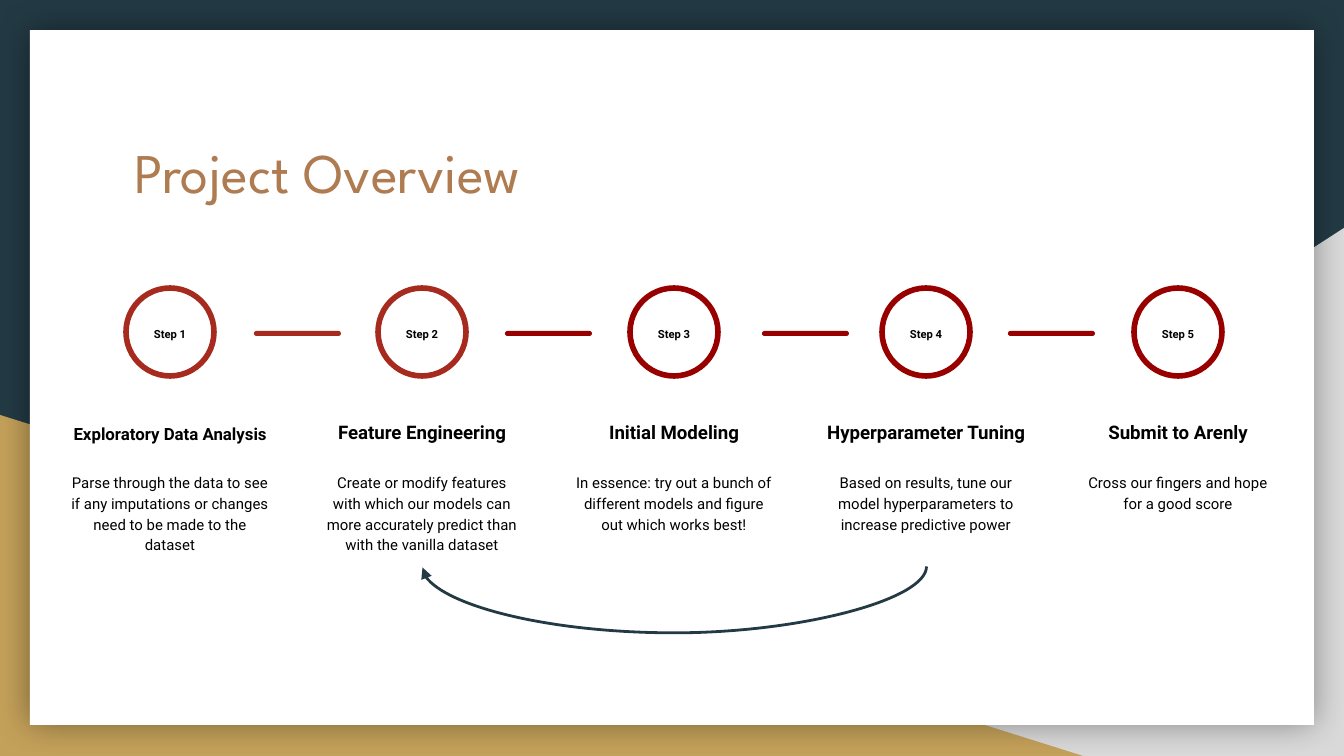
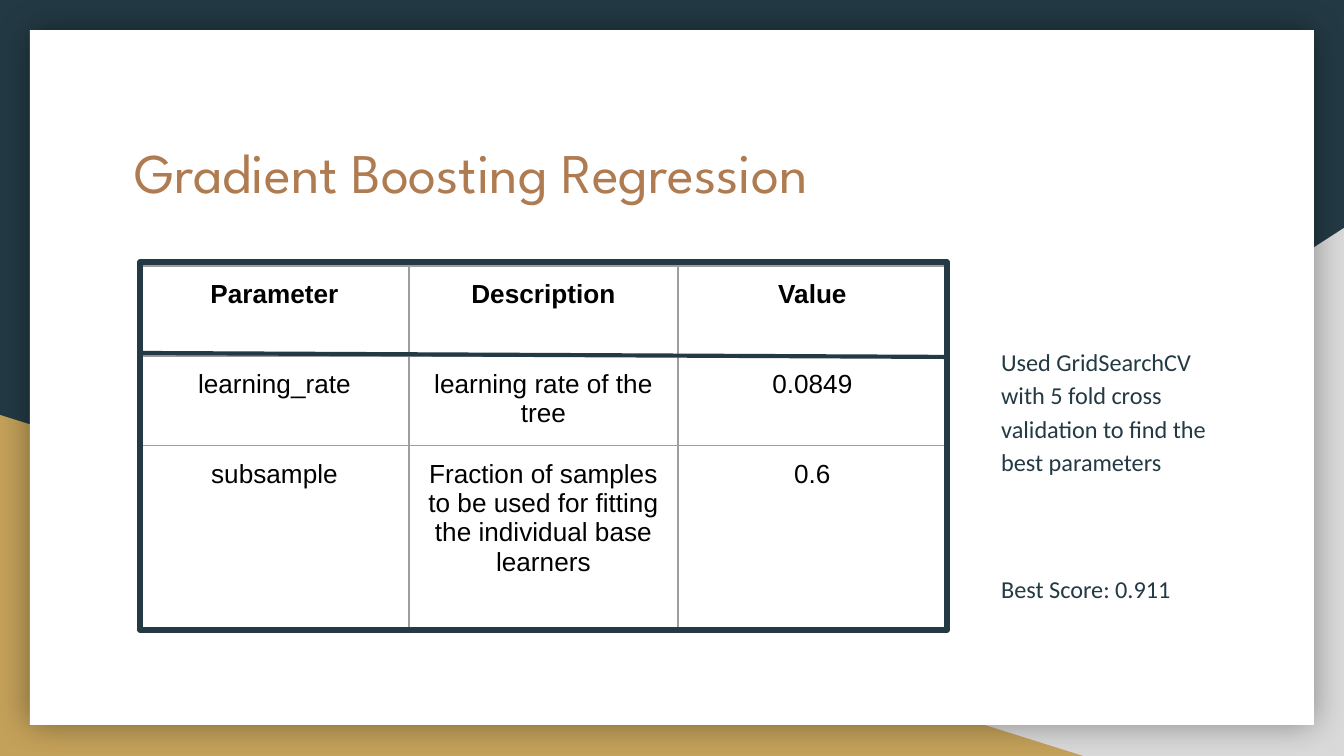
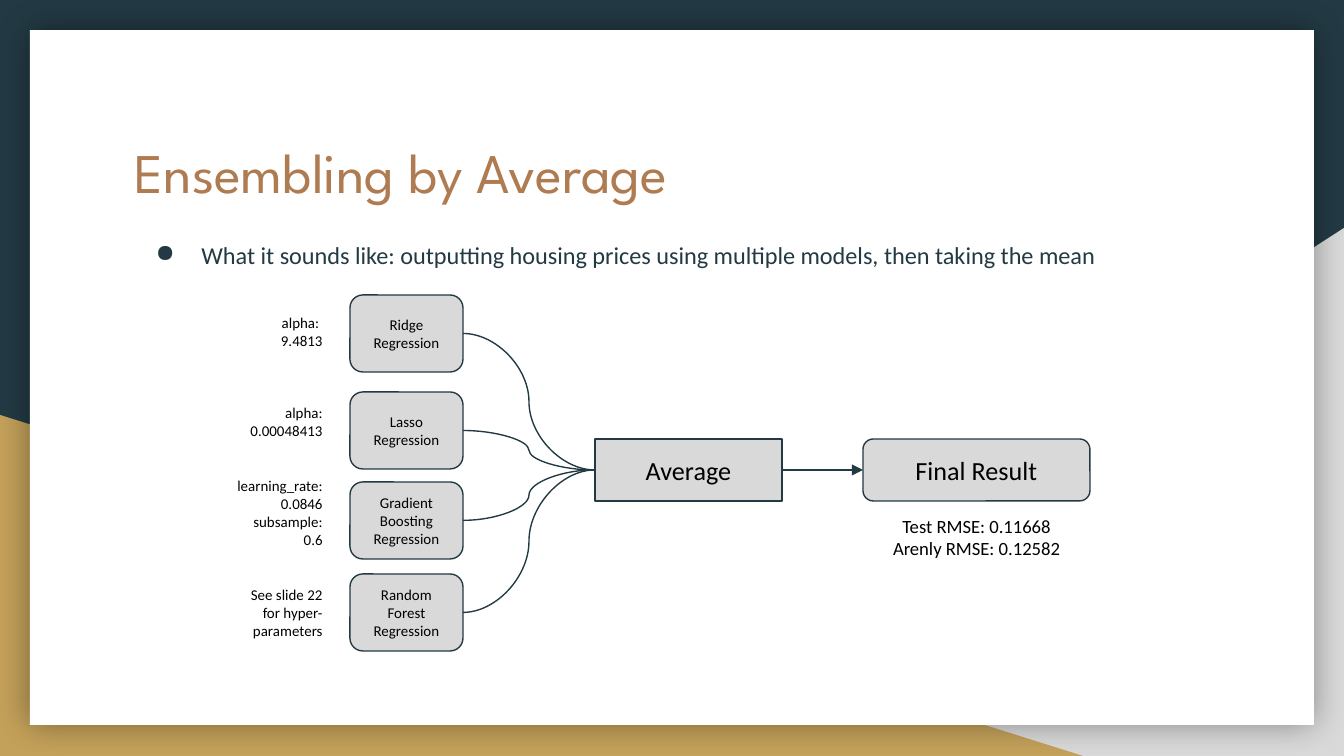
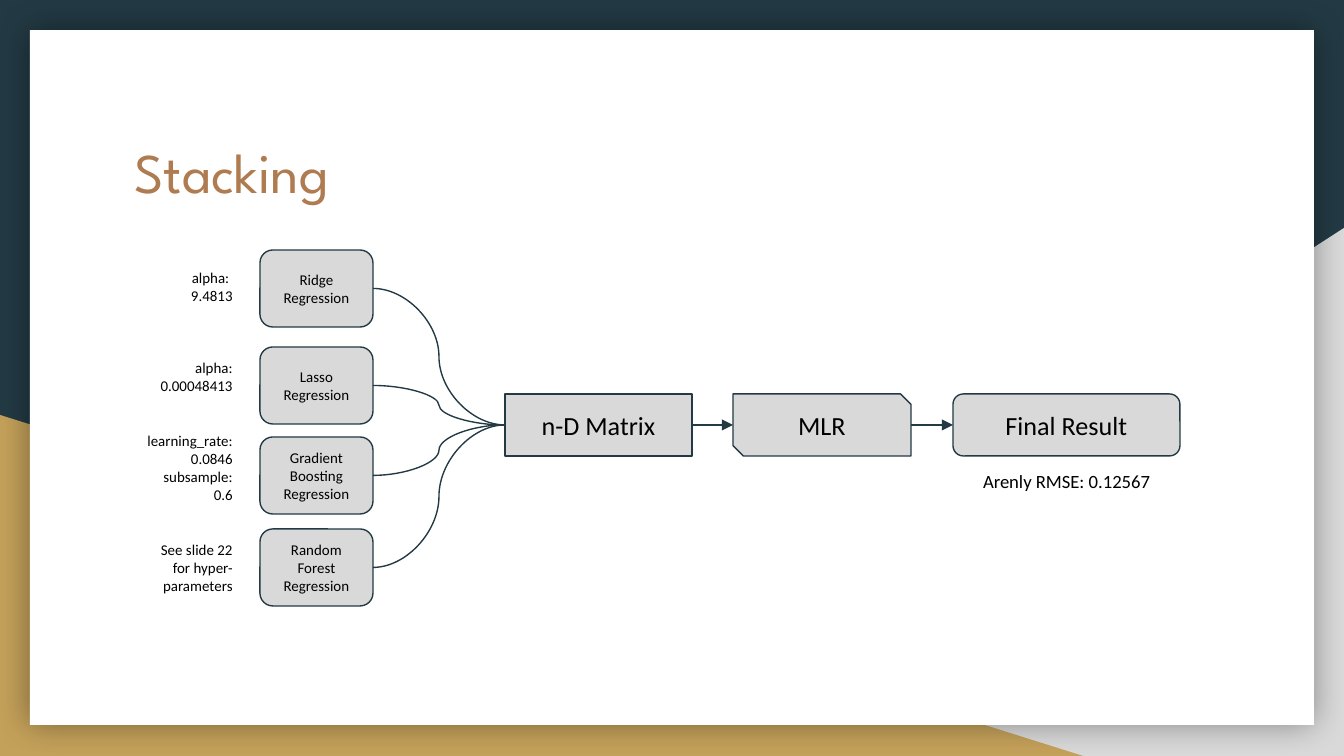
from lxml.etree import SubElement
from pptx import Presentation
from pptx.dml.color import RGBColor
from pptx.enum.shapes import MSO_CONNECTOR as LINK, MSO_SHAPE as SHAPE
from pptx.enum.text import MSO_ANCHOR as ANCHOR, MSO_AUTO_SIZE, PP_ALIGN as ALIGN
from pptx.oxml.ns import qn
from pptx.util import Emu, Inches, Pt

PX = 914400 / 134.4
INSET = Inches(0.1)
COLORS = {
    "navy": "233A44", "gold": "C4A15A", "gray": "D9D9D9", "white": "FFFFFF",
    "copper": "AF7B51", "brick": "A72A1E", "crimson": "980000",
    "black": "000000", "grid": "9E9E9E",
}

STEPS = [
    ("Exploratory Data Analysis", 9, "brick",
     "Parse through the data to see if any imputations or changes need to be made to the dataset"),
    ("Feature Engineering", 10, "brick",
     "Create or modify features with which our models can more accurately predict "
     "than with the vanilla dataset"),
    ("Initial Modeling", 10, "crimson",
     "In essence: try out a bunch of different models and figure out which works best!"),
    ("Hyperparameter Tuning", 10, "crimson",
     "Based on results, tune our model hyperparameters to increase predictive power"),
    ("Submit to Arenly", 10, "crimson", "Cross our fingers and hope for a good score"),
]
STEP_BARS = [(254, "brick"), (505, "crimson"), (762, "crimson"), (1008, "crimson")]

PARAMETERS = [
    ("Parameter", "Description", "Value"),
    ("learning_rate", "learning rate of the tree", "0.0849"),
    ("subsample", "Fraction of samples to be used for fitting the individual base learners", "0.6"),
]

MODELS = [("Ridge Regression", 0), ("Lasso Regression", 97),
          ("Gradient Boosting Regression", 187), ("Random Forest Regression", 279)]
MODEL_NOTES = ["alpha: ", "9.4813", "alpha: 0.00048413", "learning_rate:", "0.0846",
               "subsample:", "0.6", "See slide 22 for hyper-", "parameters"]
NOTE_GAPS = {2: 29, 3: 20, 7: 20}


def px(length):
    return Emu(round(length * PX))


def emu_box(box):
    return [px(length) for length in box]


def rgb(color):
    return RGBColor.from_string(COLORS[color])


def style_font(font, name, size, color="black", bold=False):
    font.name, font.size, font.bold = name, Pt(size), bold
    font.color.rgb = rgb(color)


def set_insets(frame):
    frame.margin_left = frame.margin_right = INSET
    frame.margin_top = frame.margin_bottom = INSET


def write(frame, lines, font, size, color="black", bold=False, align=ALIGN.CENTER,
          anchor=ANCHOR.TOP, spacing=None, gaps=None):
    """Fill a text frame; gaps maps a paragraph's index to the points before it."""
    frame.word_wrap = True
    frame.auto_size = MSO_AUTO_SIZE.NONE
    frame.vertical_anchor = anchor
    set_insets(frame)
    frame.text = "\n".join(lines)
    for index, paragraph in enumerate(frame.paragraphs):
        paragraph.alignment = align
        style_font(paragraph.font, font, size, color, bold)
        if spacing:
            paragraph.line_spacing = spacing
        if gaps and index in gaps:
            paragraph.space_before = Pt(gaps[index])


def add_text(shapes, box, lines, font, size, **style):
    frame = shapes.add_textbox(*emu_box(box)).text_frame
    write(frame, lines, font, size, **style)
    return frame


def add_figure(shapes, kind, box, fill=None, line=None, weight=0.75):
    figure = shapes.add_shape(kind, *emu_box(box))
    figure.shadow.inherit = False
    if fill:
        figure.fill.solid()
        figure.fill.fore_color.rgb = rgb(fill)
    else:
        figure.fill.background()
    if line:
        figure.line.color.rgb = rgb(line)
        figure.line.width = Pt(weight)
    else:
        figure.line.fill.background()
    return figure


def add_node(slide, kind, box, label, size=14):
    node = add_figure(slide.shapes, kind, box, "gray", "navy")
    write(node.text_frame, [label], "Calibri", size, anchor=ANCHOR.MIDDLE)
    return node


def add_line(slide, kind, ends, weight=0.75, arrow=False):
    """Draw a connector between two points given in EMU."""
    line = slide.shapes.add_connector(kind, *ends)
    line.line.color.rgb = rgb("navy")
    line.line.width = Pt(weight)
    properties = line.element.spPr
    if arrow:
        SubElement(properties.find(qn("a:ln")), qn("a:tailEnd"), type="triangle")
    SubElement(properties, qn("a:effectLst"))
    return line


def link(slide, source, target, kind=LINK.STRAIGHT, arrow=True):
    """Join the right side of source to the left side of target."""
    ends = (source.left + source.width, source.top + source.height // 2,
            target.left, target.top + target.height // 2)
    line = add_line(slide, kind, ends, arrow=arrow)
    # The snipped shape numbers its connection sites differently.
    if source.auto_shape_type != SHAPE.SNIP_2_DIAG_RECTANGLE:
        line.begin_connect(source, 3)
    if target.auto_shape_type != SHAPE.SNIP_2_DIAG_RECTANGLE:
        line.end_connect(target, 1)


def add_return_arrow(slide, start_x, end_x, y, depth):
    """Curve from start_x down and back up to end_x: an S-connector turned by 90°."""
    middle, half = (start_x + end_x) // 2, (start_x - end_x) // 2
    ends = emu_box((middle, y - half, middle + 1, y + half))
    line = add_line(slide, LINK.CURVE, ends, 1.5, arrow=True)
    properties = line.element.spPr
    properties.find(qn("a:xfrm")).set("rot", "5400000")
    adjustments = properties.find(qn("a:prstGeom")).find(qn("a:avLst"))
    SubElement(adjustments, qn("a:gd"), name="adj1", fmla=f"val {depth * 100000}")


def add_bullet(paragraph):
    properties = paragraph.font and paragraph._p.get_or_add_pPr()
    properties.set("marL", str(Inches(0.5)))
    properties.set("indent", str(-Inches(0.34)))
    bullet_color = SubElement(properties, qn("a:buClr"))
    SubElement(bullet_color, qn("a:srgbClr"), val=COLORS["navy"])
    bullet = SubElement(properties, qn("a:buChar"), char="●")
    defaults = properties.find(qn("a:defRPr"))
    for element in (bullet_color, bullet):
        defaults.addprevious(element)


def style_cell(cell, text, bold):
    write_to = cell.text_frame
    cell.text = text
    cell.margin_left = cell.margin_right = INSET
    cell.margin_top = cell.margin_bottom = INSET
    write_to.paragraphs[0].alignment = ALIGN.CENTER
    style_font(write_to.paragraphs[0].font, "Arial", 14, bold=bold)
    properties = cell._tc.get_or_add_tcPr()
    for side in ("lnL", "lnR", "lnT", "lnB"):
        border = SubElement(properties, qn(f"a:{side}"), w=str(Pt(0.75)))
        fill = SubElement(border, qn("a:solidFill"))
        SubElement(fill, qn("a:srgbClr"), val=COLORS["grid"])
    cell.fill.background()


def add_table(slide, left, top, column_width, row_heights, rows):
    columns = len(rows[0])
    box = (left, top, column_width * columns, sum(row_heights))
    table = slide.shapes.add_table(len(rows), columns, *emu_box(box)).table
    table.first_row = table.horz_banding = False
    for column in table.columns:
        column.width = px(column_width)
    for r, (height, texts) in enumerate(zip(row_heights, rows)):
        table.rows[r].height = px(height)
        for c, text in enumerate(texts):
            style_cell(table.cell(r, c), text, bold=r == 0)


def build_backdrop(prs, layout):
    """Give the layout its coloured corners and white panel."""
    background = prs.slide_master.background.fill
    background.solid()
    background.fore_color.rgb = rgb("navy")
    for placeholder in list(layout.placeholders):
        if placeholder.placeholder_format.idx:
            layout.shapes.element.remove(placeholder.element)

    # Layouts cannot add shapes, so a slide's shapes are moved there.
    shapes = prs.slides[0].shapes
    right_corner = add_figure(shapes, SHAPE.RIGHT_TRIANGLE, (527, 228, 817, 528), "gray")
    right_corner.element.spPr.find(qn("a:xfrm")).set("flipH", "1")
    left_corner = add_figure(shapes, SHAPE.RIGHT_TRIANGLE, (0, 415, 1083, 341), "gold")
    panel = add_figure(shapes, SHAPE.RECTANGLE, (30, 30, 1284, 695), "white")
    shadow = SubElement(panel.element.spPr.find(qn("a:effectLst")), qn("a:outerShdw"),
                        blurRad=str(Pt(18)), dist="0", dir="0", algn="ctr", rotWithShape="0")
    shade = SubElement(shadow, qn("a:srgbClr"), val=COLORS["black"])
    SubElement(shade, qn("a:alpha"), val="40000")
    for part in (right_corner, left_corner, panel):
        layout.shapes.element.append(part.element)


def add_slide(prs, layout, heading):
    slide = prs.slides.add_slide(layout)
    title = slide.shapes.title
    title.left, title.top, title.width, title.height = emu_box((121, 124, 1103, 140))
    write(title.text_frame, [heading], "League Spartan", 30, "copper", align=ALIGN.LEFT)
    return slide


def add_step(slide, number, center, heading, heading_size, color, description):
    shapes = slide.shapes.add_group_shape().shapes
    add_figure(shapes, SHAPE.OVAL, (center - 44, 288, 88, 88), line=color, weight=3)
    add_text(shapes, (center - 32, 312, 64, 47), [f"Step {number}"], "Roboto", 6,
             bold=True, spacing=1.15)
    add_text(shapes, (center - 113, 391, 226, 66), [heading], "Roboto", heading_size,
             bold=True, anchor=ANCHOR.BOTTOM, spacing=1.15)
    add_text(shapes, (center - 113, 458, 226, 109), [description], "Roboto", 8, spacing=1.15)


def add_ensemble(slide, left, top, hub_label):
    """Draw the four models with their notes, all feeding one hub."""
    hub = add_node(slide, SHAPE.RECTANGLE, (left + 245, top + 144, 187, 62), hub_label)
    for model, offset in MODELS:
        node = add_node(slide, SHAPE.ROUNDED_RECTANGLE, (left, top + offset, 113, 77), model, 8)
        link(slide, node, hub, LINK.CURVE, arrow=False)
    add_text(slide.shapes, (left - 127, top + 5, 113, 342), MODEL_NOTES, "Calibri", 8,
             align=ALIGN.RIGHT, gaps=NOTE_GAPS)
    return hub


def add_result(slide, left, top, scores):
    result = add_node(slide, SHAPE.ROUNDED_RECTANGLE, (left, top, 227, 62), "Final Result")
    add_text(slide.shapes, (left, top + 62, 227, 110), scores, "Calibri", 10)
    return result


def fill_overview(slide):
    centers = [170 + 252 * index for index in range(len(STEPS))]
    for number, (center, step) in enumerate(zip(centers, STEPS), 1):
        add_step(slide, number, center, *step)
    for left, color in STEP_BARS:
        bar = add_figure(slide.shapes, SHAPE.ROUNDED_RECTANGLE, (left, 331, 87, 5), color)
        bar.adjustments[0] = 0.5
    add_return_arrow(slide, centers[3], centers[1], 567, 66)


def fill_boosting(slide):
    add_text(slide.shapes, (988, 329, 237, 324),
             ["Used GridSearchCV with 5 fold cross validation to find the best parameters",
              "Best Score: 0.911"],
             "Calibri", 13, color="navy", align=ALIGN.LEFT, spacing=1.15, gaps={1: 50})
    add_table(slide, 140, 266, 269, (90, 90, 187), PARAMETERS)
    add_figure(slide.shapes, SHAPE.RECTANGLE, (140, 262, 807, 368), line="navy", weight=3)
    add_line(slide, LINK.STRAIGHT, emu_box((138, 353, 949, 357)), 2.25)


def fill_averaging(slide):
    summary = add_text(
        slide.shapes, (121, 222, 1103, 60),
        ["What it sounds like: outputting housing prices using multiple models, "
         "then taking the mean"],
        "Calibri", 13, color="navy", align=ALIGN.LEFT, spacing=1.15)
    add_bullet(summary.paragraphs[0])
    average = add_ensemble(slide, 350, 295, "Average")
    result = add_result(slide, 863, 439, ["Test RMSE: 0.11668", "Arenly RMSE: 0.12582"])
    link(slide, average, result)


def fill_stacking(slide):
    matrix = add_ensemble(slide, 260, 250, "n-D Matrix")
    mlr = add_node(slide, SHAPE.SNIP_2_DIAG_RECTANGLE, (733, 394, 178, 62), "MLR")
    result = add_result(slide, 953, 394, ["Arenly RMSE: 0.12567"])
    link(slide, matrix, mlr)
    link(slide, mlr, result)


def main():
    prs = Presentation()
    prs.slide_width, prs.slide_height = px(1344), px(756)
    title_only = prs.slide_layouts[5]
    contents = [
        ("Project Overview", fill_overview),
        ("Gradient Boosting Regression", fill_boosting),
        ("Ensembling by Average", fill_averaging),
        ("Stacking", fill_stacking),
    ]
    slides = [add_slide(prs, title_only, heading) for heading, _ in contents]
    build_backdrop(prs, title_only)
    for slide, (_, fill_content) in zip(slides, contents):
        fill_content(slide)
    prs.save("out.pptx")


if __name__ == "__main__":
    main()
